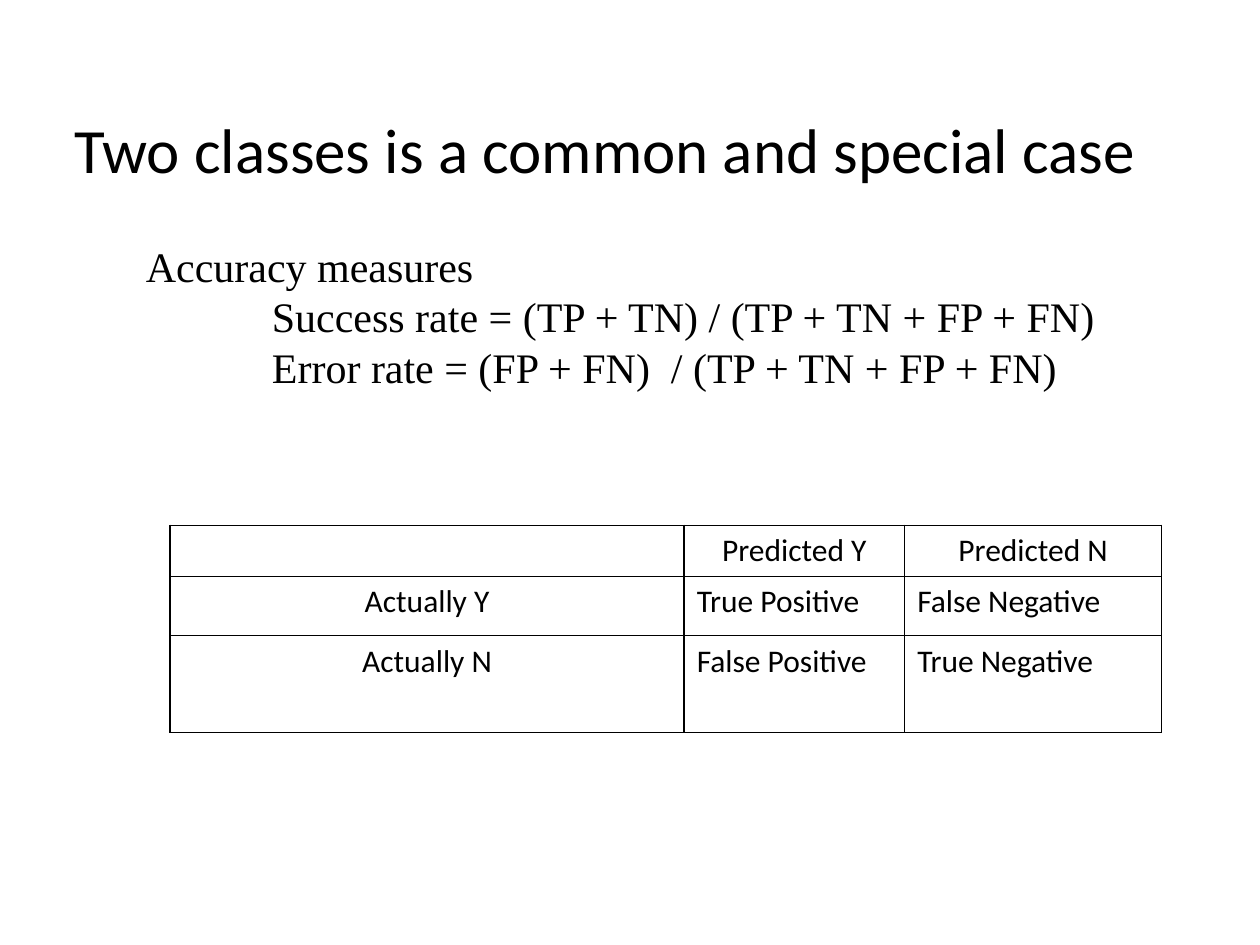
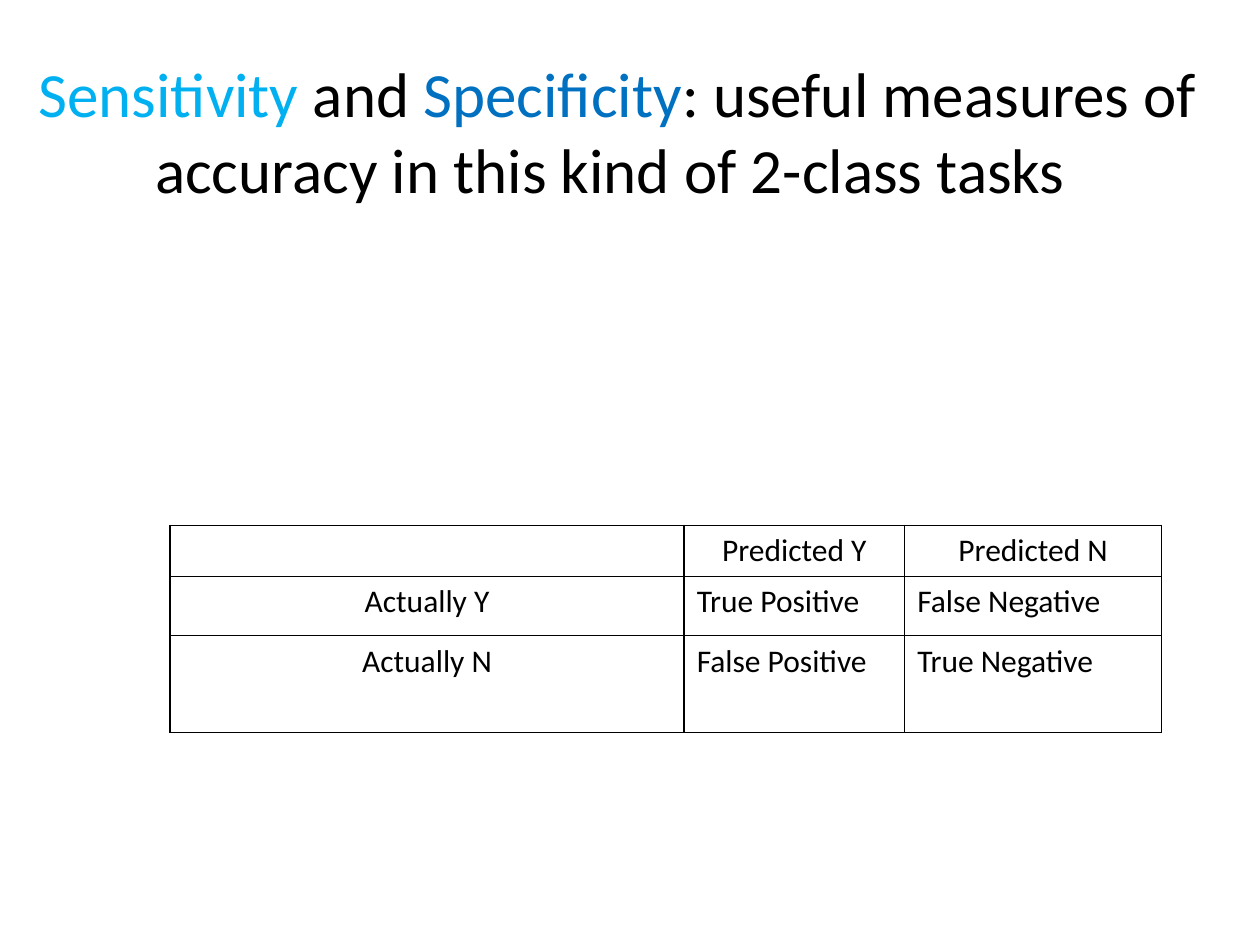
from lxml import etree
from pptx import Presentation
from pptx.dml.color import RGBColor
from pptx.enum.text import MSO_ANCHOR, MSO_AUTO_SIZE, PP_ALIGN
from pptx.oxml.ns import qn
from pptx.util import Inches, Pt

LEFT, CENTER = PP_ALIGN.LEFT, PP_ALIGN.CENTER
MIDDLE = MSO_ANCHOR.MIDDLE
NO_FIT, GROW = MSO_AUTO_SIZE.NONE, MSO_AUTO_SIZE.SHAPE_TO_FIT_TEXT
TITLE_ONLY = 5

BLACK, SKY, BLUE = "000000", "00B0F0", "0070C0"
HEAD = {"name": "Calibri", "size": Pt(36), "bold": False}
BODY = {"name": "Times New Roman", "size": Pt(24)}
CELL = {"name": "Calibri", "size": Pt(18), "bold": False}

GRID = (1.35, 4.17, 7.88, 1.64)
WIDTHS = (4.08, 1.75, 2.04)
HEIGHTS = (0.4, 0.47, 0.77)
MATRIX = (
    ("", "Predicted Y", "Predicted N"),
    ("Actually Y", "True Positive", "False Negative"),
    ("Actually N", "False Positive", "True Negative"),
)
RATES = (
    "Success rate = (TP + TN) / (TP + TN + FP + FN)",
    "Error rate = (FP + FN)  / (TP + TN + FP + FN)",
)


def color(code):
    return RGBColor.from_string(code)


def style(font, look, code=BLACK):
    for key, value in look.items():
        setattr(font, key, value)
    font.color.rgb = color(code)


def add_run(para, text, look, code=BLACK):
    run = para.add_run()
    run.text = text
    style(run.font, look, code)


def add_title(slide, box, parts):
    """Place the title and fill it with (text, colour) parts."""
    title = slide.shapes.title
    for key, value in zip(("left", "top", "width", "height"), box):
        setattr(title, key, Inches(value))
    frame = title.text_frame
    frame.word_wrap, frame.auto_size = True, NO_FIT
    frame.vertical_anchor = MIDDLE
    para = frame.paragraphs[0]
    para.alignment = CENTER
    for text, code in parts:
        add_run(para, text, HEAD, code)


def add_rates(slide, box):
    frame = slide.shapes.add_textbox(*map(Inches, box)).text_frame
    frame.word_wrap, frame.auto_size = False, GROW
    add_run(frame.paragraphs[0], "Accuracy measures", BODY)
    for text in RATES:
        para = frame.add_paragraph()
        para._p.get_or_add_pPr().set("marL", str(Inches(1)))
        add_run(para, text, BODY)


def add_border(cell):
    props = cell._tc.get_or_add_tcPr()
    for spot, side in enumerate(("lnL", "lnR", "lnT", "lnB")):
        line = etree.Element(qn(f"a:{side}"), w=str(Pt(1)))
        fill = etree.SubElement(line, qn("a:solidFill"))
        etree.SubElement(fill, qn("a:srgbClr"), val=BLACK)
        props.insert(spot, line)


def add_matrix(slide, box):
    count = len(MATRIX)
    table = slide.shapes.add_table(count, count, *map(Inches, box)).table
    table.first_row = table.horz_banding = False
    for col, width in zip(table.columns, WIDTHS):
        col.width = Inches(width)
    for row, height in zip(table.rows, HEIGHTS):
        row.height = Inches(height)
    for i, words in enumerate(MATRIX):
        for j, text in enumerate(words):
            cell = table.cell(i, j)
            cell.fill.background()
            add_border(cell)
            para = cell.text_frame.paragraphs[0]
            para.alignment = LEFT if i and j else CENTER
            style(para.font, CELL)
            if text:
                add_run(para, text, CELL)


def add_slide(deck, box, parts):
    """Add a slide with a title and the table that both slides share."""
    slide = deck.slides.add_slide(deck.slide_layouts[TITLE_ONLY])
    add_title(slide, box, parts)
    add_matrix(slide, GRID)
    return slide


def main():
    deck = Presentation()
    deck.slide_width, deck.slide_height = Inches(10), Inches(7.5)
    first = add_slide(deck, (0.35, 0.44, 8.9, 1.47), [
        ("Two classes is a common and special case", BLACK),
    ])
    add_rates(first, (1.06, 1.86, 7.8, 1.31))
    add_slide(deck, (0, 0.13, 9.8, 1.81), [
        ("Sensitivity", SKY),
        (" and ", BLACK),
        ("Specificity", BLUE),
        (": useful measures of accuracy in this kind of 2-class tasks ", BLACK),
    ])
    deck.save("out.pptx")


if __name__ == "__main__":
    main()
